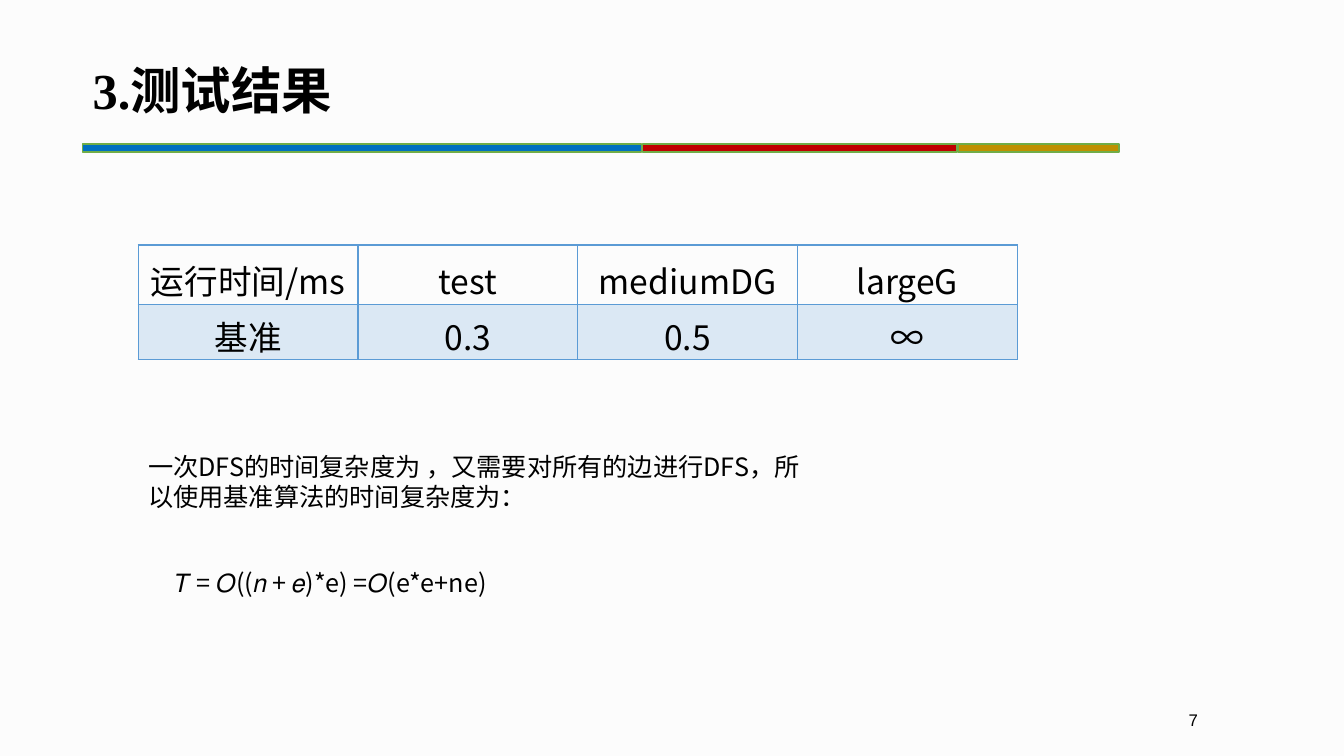
from typing import NamedTuple

from lxml import etree
from pptx import Presentation
from pptx.dml.color import RGBColor
from pptx.enum.shapes import MSO_SHAPE
from pptx.enum.text import MSO_ANCHOR, PP_ALIGN
from pptx.oxml.ns import qn
from pptx.util import Inches, Pt

RECTANGLE = MSO_SHAPE.RECTANGLE
BOTTOM = MSO_ANCHOR.BOTTOM
LEFT, CENTER, RIGHT = PP_ALIGN.LEFT, PP_ALIGN.CENTER, PP_ALIGN.RIGHT

BACKGROUND = RGBColor(0xFC, 0xFC, 0xFC)
BLACK = RGBColor(0x00, 0x00, 0x00)
BLUE = RGBColor(0x00, 0x70, 0xC0)
RED = RGBColor(0xC0, 0x00, 0x00)
GOLD = RGBColor(0xBF, 0x90, 0x00)
GREEN = RGBColor(0x70, 0xAD, 0x47)
TABLE_BLUE = RGBColor(0x5B, 0x9B, 0xD5)

SANS = "Noto Sans CJK SC"
SERIF = "Times New Roman"


class Bar(NamedTuple):
    left: float
    width: float
    color: RGBColor


class Label(NamedTuple):
    left: float
    top: float
    width: float
    height: float
    text: str
    size: int
    font: str = SANS
    bold: bool = False
    align: PP_ALIGN = LEFT
    right_inset: float = 0.1


BARS = [Bar(0.82, 5.54, BLUE), Bar(6.37, 3.12, RED), Bar(9.5, 1.6, GOLD)]
LABELS = [
    Label(0.82, 0.54, 9.82, 1.18, "3.测试结果", 36, SERIF, bold=True),
    Label(9.49, 6.99, 3, 0.4, "7", 12, "Arial", align=RIGHT, right_inset=0.61),
    Label(1.37, 4.43, 6.67, 0.71,
          "一次DFS的时间复杂度为 ，又需要对所有的边进行DFS，所以使用基准算法的时间复杂度为：", 18),
    Label(1.64, 5.58, 6.67, 0.4, "𝑇 = 𝑂((𝑛 + 𝑒)*e) =𝑂(e*e+ne)", 18),
]
RUN_TIMES = [
    ["运行时间/ms", "test", "mediumDG", "largeG"],
    ["基准", "0.3", "0.5", "∞"],
]
COLUMN_WIDTH = 2.18
ROW_HEIGHTS = [0.59, 0.55]


def style_paragraph(paragraph, size: int, font: str, bold: bool, align: PP_ALIGN) -> None:
    paragraph.alignment = align
    paragraph.font.size = Pt(size)
    paragraph.font.bold = bold
    paragraph.font.name = font
    paragraph.font.color.rgb = BLACK
    defaults = paragraph._p.pPr.find(qn("a:defRPr"))
    etree.SubElement(defaults, qn("a:ea"), typeface=SANS)


def add_bar(slide, bar: Bar) -> None:
    shape = slide.shapes.add_shape(
        RECTANGLE, Inches(bar.left), Inches(1.43), Inches(bar.width), Inches(0.08))
    shape.shadow.inherit = False
    shape.fill.solid()
    shape.fill.fore_color.rgb = bar.color
    shape.line.color.rgb = GREEN
    shape.line.width = Pt(1)


def add_label(slide, label: Label) -> None:
    box = slide.shapes.add_textbox(
        Inches(label.left), Inches(label.top), Inches(label.width), Inches(label.height))
    frame = box.text_frame
    frame.word_wrap = True
    frame.margin_right = Inches(label.right_inset)
    frame.text = label.text
    style_paragraph(frame.paragraphs[0], label.size, label.font, label.bold, label.align)


def add_borders(cell) -> None:
    properties = cell._tc.get_or_add_tcPr()
    for position, side in enumerate(("lnL", "lnR", "lnT", "lnB")):
        line = etree.Element(qn(f"a:{side}"), w=str(Pt(1)))
        fill = etree.SubElement(line, qn("a:solidFill"))
        etree.SubElement(fill, qn("a:srgbClr"), val=str(TABLE_BLUE))
        properties.insert(position, line)


def fill_cell(cell, shaded: bool) -> None:
    if not shaded:
        cell.fill.background()
        return
    cell.fill.solid()
    cell.fill.fore_color.rgb = TABLE_BLUE
    color = cell._tc.tcPr.find(f"{qn('a:solidFill')}/{qn('a:srgbClr')}")
    etree.SubElement(color, qn("a:alpha"), val="20000")


def add_run_times(slide) -> None:
    columns = len(RUN_TIMES[0])
    table = slide.shapes.add_table(
        len(RUN_TIMES), columns, Inches(1.37), Inches(2.43),
        Inches(COLUMN_WIDTH * columns), Inches(sum(ROW_HEIGHTS))).table
    table.first_row = table.horz_banding = False
    for column in table.columns:
        column.width = Inches(COLUMN_WIDTH)
    for r, (values, height) in enumerate(zip(RUN_TIMES, ROW_HEIGHTS)):
        table.rows[r].height = Inches(height)
        for c, value in enumerate(values):
            cell = table.cell(r, c)
            cell.text = value
            cell.vertical_anchor = BOTTOM
            cell.margin_left = cell.margin_right = cell.margin_top = Inches(0.01)
            cell.margin_bottom = 0
            style_paragraph(cell.text_frame.paragraphs[0], 24, SANS, False, CENTER)
            fill_cell(cell, shaded=r > 0)
            add_borders(cell)


def main() -> None:
    presentation = Presentation()
    presentation.slide_width = Inches(13.33)
    presentation.slide_height = Inches(7.5)
    slide = presentation.slides.add_slide(presentation.slide_layouts[6])
    slide.background.fill.solid()
    slide.background.fill.fore_color.rgb = BACKGROUND
    for bar in BARS:
        add_bar(slide, bar)
    add_run_times(slide)
    for label in LABELS:
        add_label(slide, label)
    presentation.save("out.pptx")


if __name__ == "__main__":
    main()
